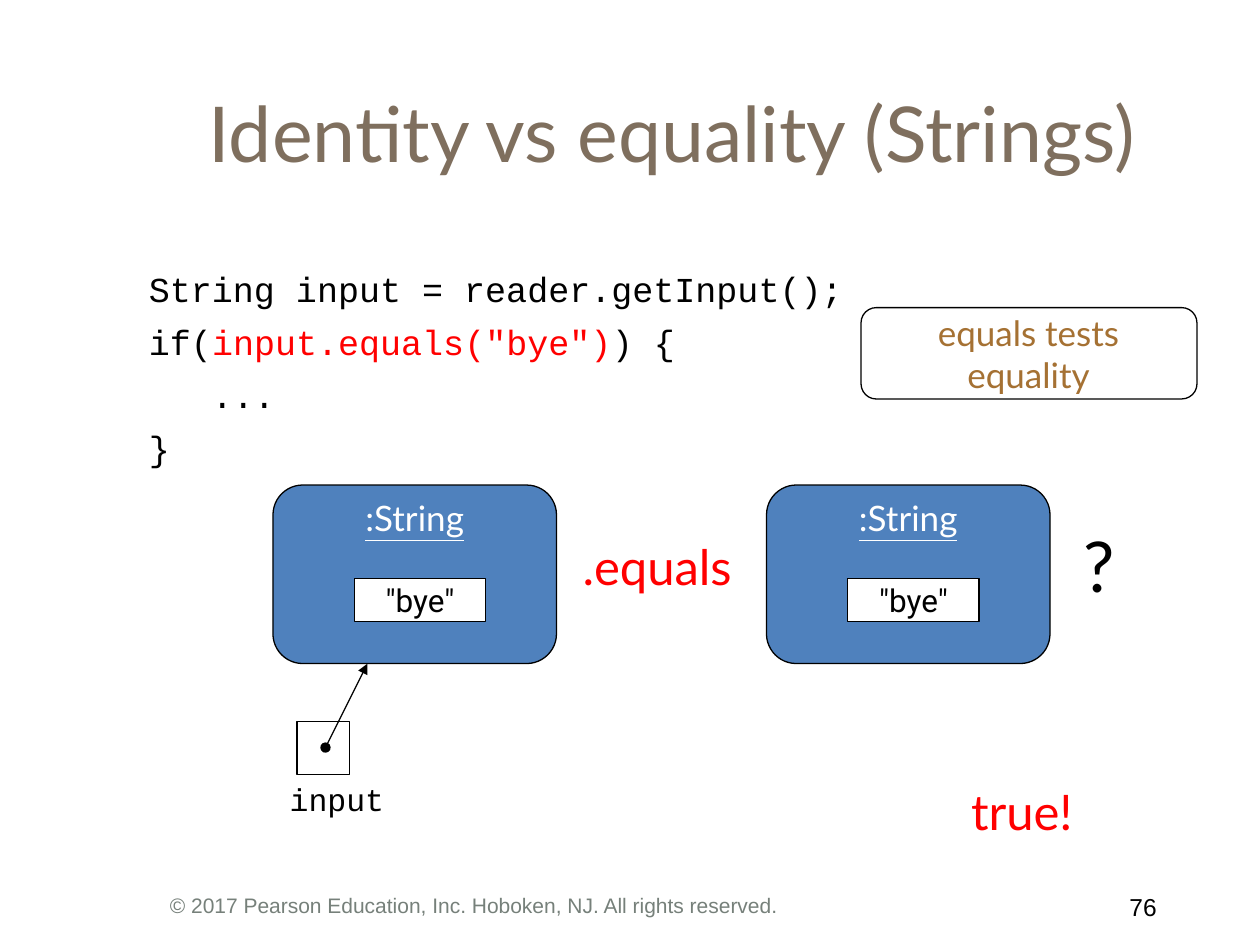
from dataclasses import dataclass

import pptx
import pptx.dml.color
import pptx.enum.shapes
import pptx.enum.text
import pptx.oxml
import pptx.oxml.ns
import pptx.util

ALIGN = pptx.enum.text.PP_ALIGN
ANCHOR = pptx.enum.text.MSO_ANCHOR
SHAPE = pptx.enum.shapes.MSO_SHAPE


@dataclass(frozen=True)
class Theme:
    black: str = "000000"
    white: str = "FFFFFF"
    red: str = "FF0000"
    object_blue: str = "4F81BD"
    title_brown: str = "7F6F5E"
    note_brown: str = "A57133"
    footer_grey: str = "76807A"
    heading: str = "Lato"
    value: str = "Roboto"
    code: str = "Courier New"
    footer: str = "Arial"
    title_size: int = 44
    question_size: int = 40
    result_size: int = 28
    body_size: int = 20
    label_size: int = 18
    page_size: int = 14
    footer_size: int = 12
    outline: float = 0.75
    code_gap: float = 6.2


class SlideBuilder:
    """Draws styled elements on one slide, measured on a 120 by 90 grid."""

    tight = (0, 0, 0.04, 0)
    standard = (0.1, 0.05, 0.1, 0.05)

    def __init__(self, deck, theme):
        self.theme = theme
        self.slide = deck.slides.add_slide(deck.slide_layouts[6])
        self.cell_width = deck.slide_width / 120
        self.cell_height = deck.slide_height / 90

    def place(self, column, row, columns=0, rows=0):
        return (round(column * self.cell_width), round(row * self.cell_height),
                round(columns * self.cell_width), round(rows * self.cell_height))

    def text(self, area, lines, size, font, color, align=ALIGN.LEFT, anchor=ANCHOR.TOP,
             insets=tight, indent=0.04, gap=0, underline=None):
        frame = self.slide.shapes.add_textbox(*self.place(*area)).text_frame
        frame.word_wrap = True
        frame.vertical_anchor = anchor
        (frame.margin_left, frame.margin_top,
         frame.margin_right, frame.margin_bottom) = map(pptx.util.Inches, insets)
        for number, line in enumerate(lines):
            paragraph = frame.add_paragraph() if number else frame.paragraphs[0]
            paragraph.alignment = align
            paragraph.space_before = pptx.util.Pt(gap if number else 0)
            properties = paragraph._p.get_or_add_pPr()
            properties.set("marL", str(pptx.util.Inches(indent)))
            properties.set("indent", "0")
            for words, tint in [(line, color)] if isinstance(line, str) else line:
                run = paragraph.add_run()
                run.text = words
                run.font.name = font
                run.font.size = pptx.util.Pt(size)
                run.font.underline = underline
                run.font.color.rgb = pptx.dml.color.RGBColor.from_string(tint)

    def box(self, area, kind=SHAPE.RECTANGLE, fill=None):
        box = self.slide.shapes.add_shape(kind, *self.place(*area))
        box.shadow.inherit = False
        if fill:
            box.fill.solid()
            box.fill.fore_color.rgb = pptx.dml.color.RGBColor.from_string(fill)
        else:
            box.fill.background()
        self.outline(box.line)

    def outline(self, line):
        line.color.rgb = pptx.dml.color.RGBColor.from_string(self.theme.black)
        line.width = pptx.util.Pt(self.theme.outline)

    def reference(self, start, end):
        arrow = self.slide.shapes.add_connector(
            pptx.enum.shapes.MSO_CONNECTOR.STRAIGHT,
            *self.place(*start)[:2], *self.place(*end)[:2])
        self.outline(arrow.line)
        line = arrow.line._get_or_add_ln()
        for end_name, mark in (("a:headEnd", "oval"), ("a:tailEnd", "triangle")):
            line.append(pptx.oxml.parse_xml(
                f'<{end_name} {pptx.oxml.ns.nsdecls("a")} type="{mark}"/>'))
        arrow._element.spPr.append(
            pptx.oxml.parse_xml(f'<a:effectLst {pptx.oxml.ns.nsdecls("a")}/>'))

    def string_object(self, column, row, value):
        theme = self.theme
        self.box((column, row, 27, 17), SHAPE.ROUNDED_RECTANGLE, theme.object_blue)
        self.box((column + 7.75, row + 8.9, 12.5, 4.1), fill=theme.white)
        self.text((column + 10, row + 9.1, 8, 3.6), [value], theme.label_size,
                  theme.value, theme.black, ALIGN.CENTER, ANCHOR.MIDDLE)
        self.text((column, row + 1.1, 27, 5.2), [":String"], theme.body_size,
                  theme.heading, theme.white, ALIGN.CENTER, underline=True)


def main():
    deck = pptx.Presentation()
    deck.slide_width, deck.slide_height = pptx.util.Inches(10), pptx.util.Inches(7.5)
    theme = Theme()
    page = SlideBuilder(deck, theme)

    page.text((105, 84.4, 7, 4), ["76 "], theme.page_size, theme.footer, theme.black,
              ALIGN.RIGHT, insets=page.standard, indent=0)
    page.text((13, 5, 102, 15), ["Identity vs equality (Strings)"], theme.title_size,
              theme.heading, theme.title_brown, ALIGN.CENTER, ANCHOR.MIDDLE,
              page.standard, indent=0)
    page.text((15, 84.4, 91, 4),
              ["© 2017 Pearson Education, Inc. Hoboken, NJ. All rights reserved."],
              theme.footer_size, theme.footer, theme.footer_grey,
              insets=page.standard, indent=0)

    for column in (26, 73):
        page.string_object(column, 46.2, '"bye"')

    page.box((28.3, 68.75, 5, 5))
    page.reference((31, 71.2), (35, 63.2))
    page.text((27.1, 74.3, 10.2, 3.6), ["input"], theme.label_size, theme.code, theme.black)

    condition = [("if(", theme.black), ('input.equals("bye")', theme.red),
                 (") {", theme.black)]
    page.text((13.7, 25.5, 67.7, 18.7),
              ["String input = reader.getInput();", condition, "   ...", "}"],
              theme.body_size, theme.code, theme.black, gap=theme.code_gap)

    for area, words, size, color in (
            ((55, 51.1, 17, 5.6), ".equals", theme.result_size, theme.red),
            ((102.7, 49.8, 4, 8), "?", theme.question_size, theme.black),
            ((92, 74.4, 11.6, 5.6), "true!", theme.result_size, theme.red)):
        page.text(area, [words], size, theme.heading, color)

    page.box((82, 29.3, 32, 8.7), SHAPE.ROUNDED_RECTANGLE)
    page.text((82.3, 30, 31.3, 7.3), ["equals tests equality"], theme.body_size,
              theme.heading, theme.note_brown, ALIGN.CENTER, ANCHOR.MIDDLE,
              (0.04, 0.04, 0.1, 0.04), indent=0.06)

    deck.save("out.pptx")


if __name__ == "__main__":
    main()
